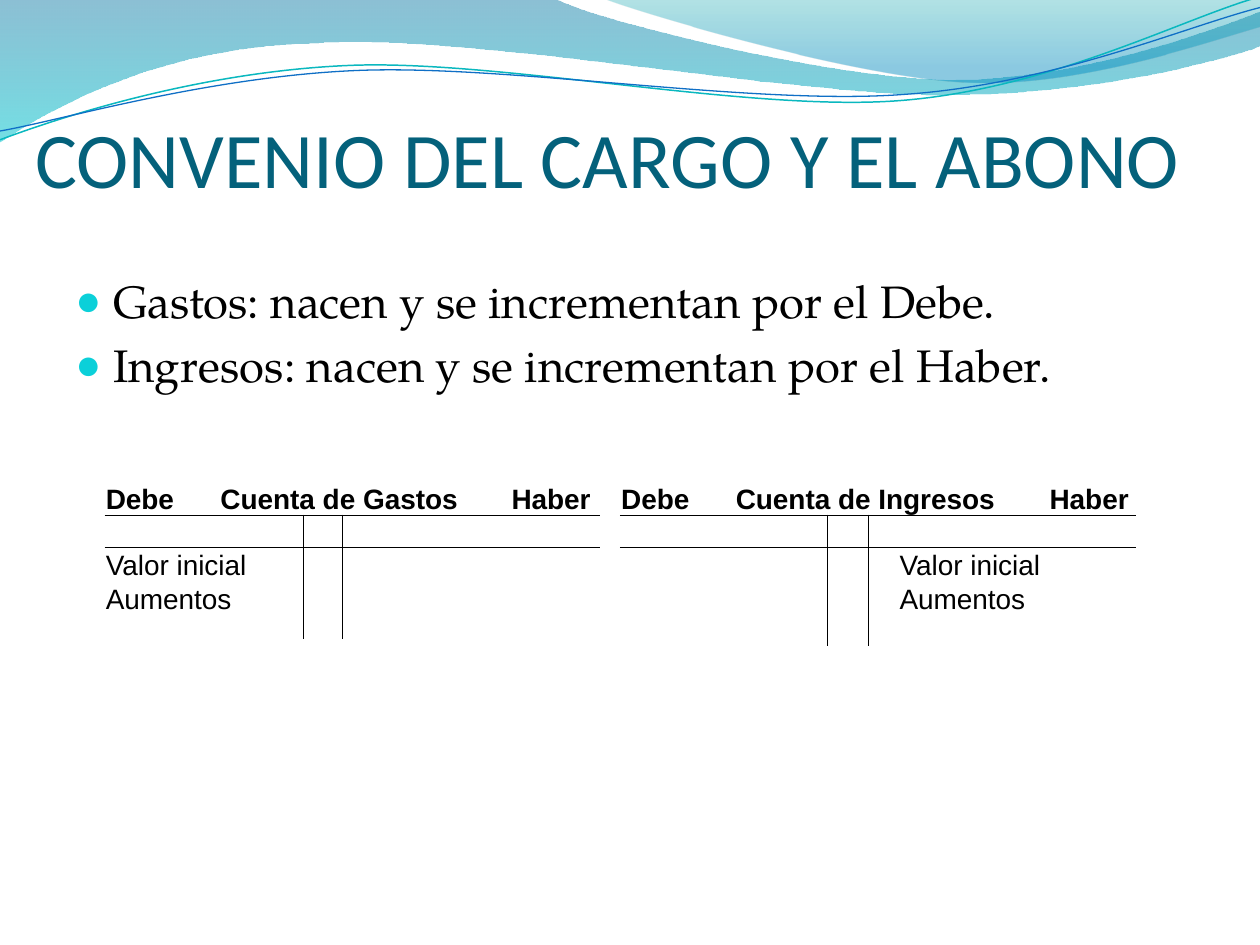
import pptx
import pptx.dml.color
import pptx.enum.text
import pptx.oxml
import pptx.oxml.ns
import pptx.util
from lxml import etree
from pptx.util import Inches

COLORS = {
    "title": "04617B", "text": "000000", "bullet": "0BD0D9",
    "wave_top": "0074A1", "wave_bottom": "00C6CF",
    "crest_top": "00A1A9", "crest_bottom": "008BBF",
    "teal_line": "0AB8BF", "blue_line": "0F6FC6",
}
NO_STYLE_NO_GRID = "{2D5ABB26-0587-4C30-8999-92F81FD0307C}"
# Each outline is a start point followed by segments: one point is a line, three a Bézier curve.
WAVE = [(0, 0), [(4.4, -0.01)], [(4.76, 0.17), (6.64, 0.63), (7.58, 0.63)],
        [(8.53, 0.63), (9.58, 0.26), (10, 0.09)], [(10.01, 0.36)],
        [(9.83, 0.44), (8.7, 0.76), (7.46, 0.75)],
        [(6.22, 0.75), (3.82, 0.28), (2.57, 0.34)],
        [(1.29, 0.36), (0.46, 0.83), (-0.01, 1.13)]]
CREST = [(4.79, -0.01), [(5.09, 0.11), (6.82, 0.62), (7.69, 0.65)],
         [(8.56, 0.69), (9.61, 0.32), (10, 0.21)], [(10, 0)]]
TEAL_CURVE = [(0, 1.11), [(0.48, 0.93), (1.58, 0.57), (2.77, 0.52)],
              [(3.95, 0.47), (5.93, 0.89), (7.13, 0.8)],
              [(8.33, 0.71), (9.38, 0.15), (9.98, -0.02)]]
BLUE_CURVE = [(0, 1.04), [(0.47, 0.96), (1.64, 0.61), (2.83, 0.56)],
              [(4.03, 0.51), (5.97, 0.84), (7.17, 0.75)],
              [(8.36, 0.67), (9.41, 0.21), (10, 0.06)]]


def rgb(name):
    return pptx.dml.color.RGBColor.from_string(COLORS[name])


def add_xml(parent, tag, **attributes):
    return etree.SubElement(parent, pptx.oxml.ns.qn(tag), attributes)


def add_outline(slide, outline, closed):
    """Add a freeform through the segment ends, then bend its curved segments."""
    start, *segments = outline
    builder = slide.shapes.build_freeform(*map(Inches, start))
    builder.add_line_segments(
        [tuple(map(Inches, segment[-1])) for segment in segments], close=closed)
    shape = builder.convert_to_shape()
    shape.shadow.inherit = False
    lines = list(shape._element.iter(pptx.oxml.ns.qn("a:lnTo")))
    for line, segment in zip(lines, segments):
        if len(segment) == 3:
            curve = etree.Element(pptx.oxml.ns.qn("a:cubicBezTo"))
            for x, y in segment:
                add_xml(curve, "a:pt", x=str(Inches(x) - shape.left),
                        y=str(Inches(y) - shape.top))
            line.getparent().replace(line, curve)
    return shape


def add_wave(slide, outline, stops):
    """Add a filled wave; stops are (position, color name, opacity in percent)."""
    shape = add_outline(slide, outline, closed=True)
    shape.line.fill.background()
    shape.fill.gradient()
    shape.fill.gradient_angle = 270
    for stop, (position, color, _) in zip(shape.fill.gradient_stops, stops):
        stop.position = position
        stop.color.rgb = rgb(color)
    color_elements = shape._element.spPr.iter(pptx.oxml.ns.qn("a:srgbClr"))
    for element, (_, _, opacity) in zip(color_elements, stops):
        add_xml(element, "a:alpha", val=str(opacity * 1000))


def add_curve(slide, outline, color, width):
    shape = add_outline(slide, outline, closed=False)
    shape.fill.background()
    shape.line.color.rgb = rgb(color)
    shape.line.width = pptx.util.Pt(width)


def add_header_waves(slide):
    add_wave(slide, WAVE, [(0, "wave_top", 45), (1, "wave_bottom", 55)])
    add_wave(slide, CREST, [(0, "crest_top", 30), (0.8, "crest_bottom", 45)])
    add_curve(slide, TEAL_CURVE, "teal_line", 0.85)
    add_curve(slide, BLUE_CURVE, "blue_line", 0.75)


def set_font(paragraph, name, size, color, bold=False):
    font = paragraph.font
    font.name, font.size, font.bold = name, pptx.util.Pt(size), bold
    font.color.rgb = rgb(color)


def place_title(slide, left, top, width, height):
    title = slide.shapes.title
    title.left, title.top, title.width, title.height = map(Inches, (left, top, width, height))
    frame = title.text_frame
    frame.text = "CONVENIO DEL CARGO Y EL ABONO"
    frame.vertical_anchor = pptx.enum.text.MSO_ANCHOR.BOTTOM
    frame.margin_left = frame.margin_right = frame.margin_bottom = 0
    frame.auto_size = pptx.enum.text.MSO_AUTO_SIZE.NONE
    frame.paragraphs[0].alignment = pptx.enum.text.PP_ALIGN.LEFT
    set_font(frame.paragraphs[0], "Calibri", 45, "title")


def add_bullets(slide, left, top, width, height, lines):
    frame = slide.shapes.add_textbox(*map(Inches, (left, top, width, height))).text_frame
    frame.word_wrap = True
    for index, line in enumerate(lines):
        paragraph = frame.add_paragraph() if index else frame.paragraphs[0]
        paragraph.text = line
        properties = paragraph._p.get_or_add_pPr()
        properties.set("marL", str(Inches(0.3)))
        properties.set("indent", str(Inches(-0.3)))
        add_xml(add_xml(properties, "a:buClr"), "a:srgbClr", val=COLORS["bullet"])
        add_xml(properties, "a:buSzPct", val="95000")
        add_xml(properties, "a:buFont", typeface="Arial")
        add_xml(properties, "a:buChar", char="●")
        paragraph.space_before = pptx.util.Pt(5.2)
        set_font(paragraph, "TeX Gyre Pagella", 26, "text")


def set_borders(cell, sides):
    """Draw the named sides, given in the order L, R, T, B."""
    properties = cell._tc.get_or_add_tcPr()
    for index, side in enumerate(sides):
        line = pptx.oxml.parse_xml(
            f'<a:ln{side} {pptx.oxml.ns.nsdecls("a")} w="{pptx.util.Pt(0.5)}"/>')
        add_xml(add_xml(line, "a:solidFill"), "a:srgbClr", val=COLORS["text"])
        properties.insert(index, line)


def add_account(slide, left, top, columns, last_row, name, tabs, entry_column):
    """Add a T account whose entries stand in the given column."""
    rows = [0.25, 0.26, 0.26, 0.26, last_row]
    frame = slide.shapes.add_table(len(rows), len(columns), *map(
        Inches, (left, top, sum(columns), sum(rows))))
    table = frame.table
    table.first_row = table.horz_banding = False
    next(frame._element.iter(pptx.oxml.ns.qn("a:tableStyleId"))).text = NO_STYLE_NO_GRID
    for column, width in zip(table.columns, columns):
        column.width = Inches(width)
    for row, height in zip(table.rows, rows):
        row.height = Inches(height)
    texts = {(0, 0): f"Debe\t{name}\tHaber",
             (2, entry_column): "Valor inicial", (3, entry_column): "Aumentos"}
    for row in range(len(rows)):
        for column in range(len(columns)):
            cell = table.cell(row, column)
            cell.margin_left = cell.margin_right = Inches(0.01)
            cell.margin_top = cell.margin_bottom = 0
            cell.vertical_anchor = pptx.enum.text.MSO_ANCHOR.BOTTOM
            cell.fill.background()
            sides = "B" if row == 0 else {1: "R", 2: "L"}.get(column, "")
            set_borders(cell, sides + ("T" if row == 1 else ""))
            paragraph = cell.text_frame.paragraphs[0]
            if (row, column) in texts:
                paragraph.text = texts[row, column]
                set_font(paragraph, "Arial", 16, "text", bold=row == 0)
            else:
                add_xml(paragraph._p, "a:endParaRPr", sz="800")
    table.cell(0, 0).merge(table.cell(0, len(columns) - 1))
    heading = table.cell(0, 0).text_frame.paragraphs[0]._p.get_or_add_pPr()
    tab_list = pptx.oxml.parse_xml(f'<a:tabLst {pptx.oxml.ns.nsdecls("a")}/>')
    for position in tabs:
        add_xml(tab_list, "a:tab", pos=str(Inches(position)), algn="l")
    heading.insert(0, tab_list)


def main():
    presentation = pptx.Presentation()
    presentation.slide_width, presentation.slide_height = Inches(10), Inches(7.5)
    slide = presentation.slides.add_slide(presentation.slide_layouts[5])
    add_header_waves(slide)
    place_title(slide, 0.28, 0.77, 9.22, 0.85)
    add_bullets(slide, 0.5, 2.12, 9, 4.8, [
        "Gastos: nacen y se incrementan por el Debe.",
        "Ingresos: nacen y se incrementan por el Haber."])
    add_account(slide, 0.83, 3.82, [1.4, 0.18, 0.31, 0.23, 1.81], 0.19,
                "Cuenta de Gastos", (0.91, 3.22), entry_column=0)
    add_account(slide, 4.92, 3.82, [1.3, 0.35, 0.32, 0.24, 1.89], 0.25,
                "Cuenta de Ingresos", (0.91, 3.4), entry_column=4)
    presentation.save("out.pptx")


if __name__ == "__main__":
    main()
